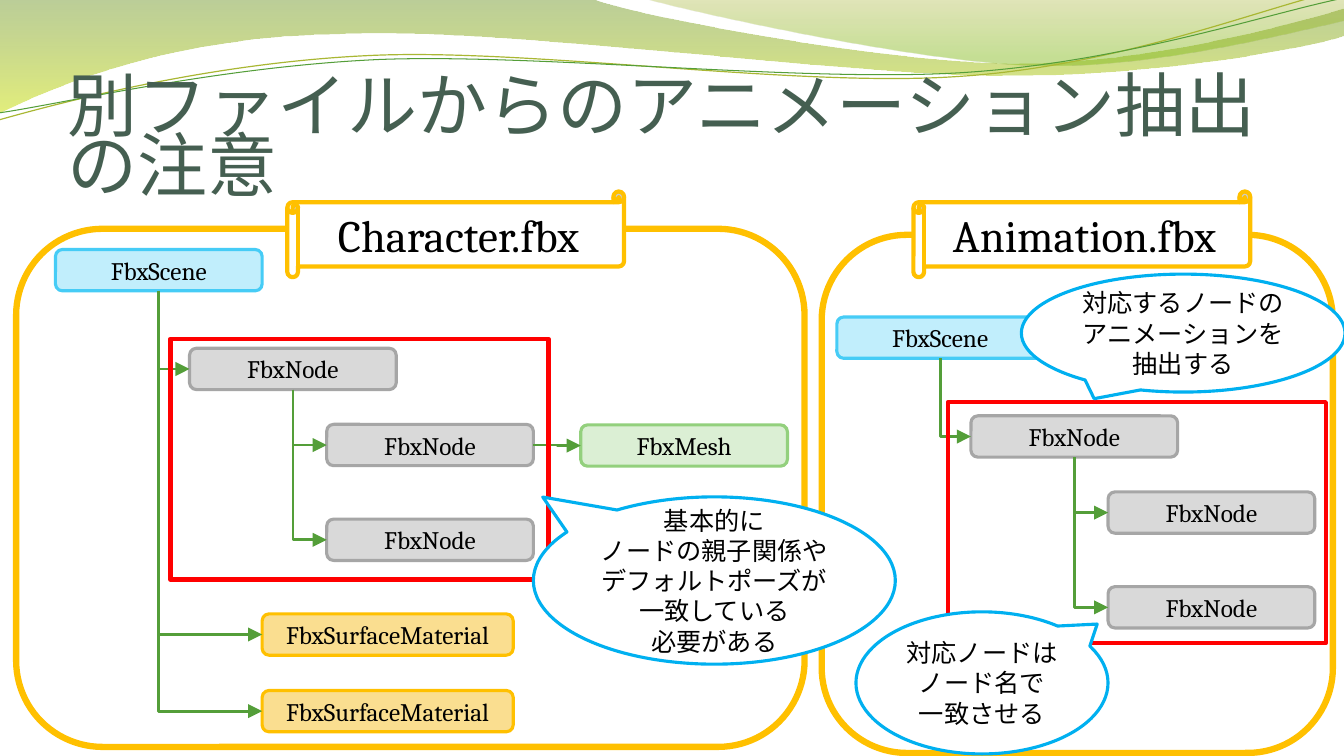
import math
from dataclasses import dataclass

from lxml import etree
from pptx import Presentation
from pptx import util as u
from pptx.dml.color import RGBColor
from pptx.enum import shapes, text
from pptx.oxml import parse_xml
from pptx.oxml.ns import nsdecls, qn

COLORS = {
    "title": "455F51", "ink": "000000", "white": "FFFFFF", "link": "549E39",
    "olive": "A9B733", "gold": "FFC000", "red": "FF0000", "sky": "00B0F0",
    "node": "D9D9D9", "node_edge": "A6A6A6", "scene": "C1EEFC", "scene_edge": "46CCF6",
    "mesh": "DBEFD4", "mesh_edge": "93D07D", "material": "FADE90",
}
LATIN, JAPANESE = "Cambria", "Noto Sans CJK JP"
KIND = shapes.MSO_SHAPE
NODE_WIDTH, NODE_HEIGHT = 2.05, 0.41
WAVE_CENTER = (6.65, 0.58)


@dataclass
class Box:
    kind: int
    left: float
    top: float
    width: float
    height: float
    edge: str
    weight: float
    fill: str = ""
    label: str = ""
    size: int = 18
    adjust: tuple[float, ...] = ()


@dataclass
class Wave:
    start: tuple[float, float]
    segments: list[tuple[float, ...]]
    stops: tuple[tuple[int, str, int], ...] = ()
    edge: str = ""
    weight: float = 0
    rotation: float = 0


WAVES = [
    Wave((0, 0), [(5.87, -0.01), (6.34, 0.17, 8.84, 0.63, 10.11, 0.63),
                  (11.37, 0.63, 12.77, 0.26, 13.33, 0.09), (13.34, 0.36),
                  (13.11, 0.44, 11.59, 0.76, 9.94, 0.75),
                  (8.29, 0.75, 5.09, 0.28, 3.43, 0.34),
                  (1.72, 0.36, 0.61, 0.83, -0.02, 1.13)],
         stops=((0, "69921C", 45), (100, "CCE10F", 55))),
    Wave((6.38, -0.01), [(6.79, 0.11, 9.09, 0.62, 10.25, 0.65),
                         (11.4, 0.69, 12.82, 0.32, 13.33, 0.21), (13.33, 0)],
         stops=((0, "9BAA1A", 30), (80, "81BA16", 45))),
    Wave((-0.01, 1.19), [(0.63, 1.01, 2.1, 0.62, 3.69, 0.55),
                         (5.27, 0.48, 7.89, 0.87, 9.49, 0.76),
                         (11.1, 0.66, 12.51, 0.08, 13.3, -0.1)],
         edge="olive", weight=0.85, rotation=357.3),
    Wave((-0.01, 1.12), [(0.62, 1.03, 2.18, 0.66, 3.77, 0.59),
                         (5.37, 0.53, 7.96, 0.82, 9.55, 0.72),
                         (11.14, 0.62, 12.55, 0.14, 13.33, -0.02)],
         edge="link", weight=0.75, rotation=357.3),
]
CALLOUTS = [
    Box(KIND.OVAL_CALLOUT, 5.29, 4.93, 3.59, 1.66, "sky", 2.25, "white",
        "基本的に\nノードの親子関係や\nデフォルトポーズが\n一致している\n必要がある", adjust=(-0.474, -0.499)),
    Box(KIND.OVAL_CALLOUT, 10.13, 2.72, 3.21, 1.17, "sky", 2.25, "white",
        "対応するノードの\nアニメーションを\n抽出する", adjust=(-0.275, 0.556)),
    Box(KIND.OVAL_CALLOUT, 8.49, 6.07, 2.5, 1.41, "sky", 2.25, "white",
        "対応ノードは\nノード名で\n一致させる", adjust=(0.457, -0.414)),
]


def rgb(name: str) -> RGBColor:
    return RGBColor.from_string(COLORS[name])


def style_text(frame, size: int, color: str, latin: str, align) -> None:
    for paragraph in frame.paragraphs:
        paragraph.alignment = align
        for run in paragraph.runs:
            run.font.size = u.Pt(size)
            run.font.color.rgb = rgb(color)
            run.font.name = latin
            etree.SubElement(run.font._element, qn("a:ea")).set("typeface", JAPANESE)


def draw_box(slide, box: Box):
    shape = slide.shapes.add_shape(
        box.kind, *map(u.Inches, (box.left, box.top, box.width, box.height)))
    shape.shadow.inherit = False
    for index, value in enumerate(box.adjust):
        shape.adjustments[index] = value
    if box.fill:
        shape.fill.solid()
        shape.fill.fore_color.rgb = rgb(box.fill)
    else:
        shape.fill.background()
    shape.line.color.rgb = rgb(box.edge)
    shape.line.width = u.Pt(box.weight)
    if box.label:
        shape.text_frame.text = box.label
        shape.text_frame.vertical_anchor = text.MSO_ANCHOR.MIDDLE
        style_text(shape.text_frame, box.size, "ink", LATIN, text.PP_ALIGN.CENTER)
    return shape


def draw_node(slide, label: str, left: float, top: float, fill: str = "node",
              edge: str = "node_edge", width: float = NODE_WIDTH):
    return draw_box(slide, Box(KIND.ROUNDED_RECTANGLE, left, top, width, NODE_HEIGHT,
                               edge, 2.25, fill, label))


def draw_link(slide, parent, child, sideways: bool = False) -> None:
    link = slide.shapes.add_connector(shapes.MSO_CONNECTOR.ELBOW, 0, 0, 0, 0)
    link.begin_connect(parent, 3 if sideways else 2)
    link.end_connect(child, 1)
    link.line.color.rgb = rgb("link")
    link.line.width = u.Pt(2)
    properties = link.element.spPr
    arrow = etree.SubElement(properties.find(qn("a:ln")), qn("a:tailEnd"))
    for key, value in (("type", "triangle"), ("w", "lg"), ("len", "lg")):
        arrow.set(key, value)
    etree.SubElement(properties, qn("a:effectLst"))
    if not sideways:
        across, down = link.width, link.height
        link.left += (across - down) // 2
        link.top += (down - across) // 2
        link.width, link.height = down, across
        properties.find(qn("a:prstGeom")).set("prst", "bentConnector2")
        frame = properties.find(qn("a:xfrm"))
        frame.set("rot", "16200000")
        frame.set("flipH", "1")


def draw_tree(slide, dx: float, dy: float):
    scene = draw_node(slide, "FbxScene", 0.55 + dx, 2.475 + dy, "scene", "scene_edge")
    root = draw_node(slide, "FbxNode", 1.88 + dx, 3.455 + dy)
    draw_link(slide, scene, root)
    children = [draw_node(slide, "FbxNode", 3.24 + dx, top + dy) for top in (4.21, 5.15)]
    for child in children:
        draw_link(slide, root, child)
    return scene, children


def draw_file(slide, name: str, left: float, top: float, width: float,
              scroll_left: float, hierarchy_left: float, hierarchy_top: float) -> None:
    for box in (
        Box(KIND.ROUNDED_RECTANGLE, left, top, width, 5.14, "gold", 4.5),
        Box(KIND.HORIZONTAL_SCROLL, scroll_left, 1.9, 3.34, 0.85, "gold", 3, "white", name, 32),
        Box(KIND.RECTANGLE, hierarchy_left, hierarchy_top, 3.75, 2.39, "red", 3),
    ):
        draw_box(slide, box)


def unturn(x: float, y: float, rotation: float) -> tuple[int, int]:
    angle = math.radians(-rotation)
    dx, dy = x - WAVE_CENTER[0], y - WAVE_CENTER[1]
    return (u.Inches(WAVE_CENTER[0] + dx * math.cos(angle) - dy * math.sin(angle)),
            u.Inches(WAVE_CENTER[1] + dx * math.sin(angle) + dy * math.cos(angle)))


def draw_wave(group, wave: Wave) -> None:
    builder = group.shapes.build_freeform(*unturn(*wave.start, wave.rotation))
    builder.add_line_segments(
        [unturn(*segment[i:i + 2], wave.rotation)
         for segment in wave.segments for i in range(0, len(segment), 2)],
        close=bool(wave.stops))
    shape = builder.convert_to_shape()
    steps = iter(list(shape.element.iter(qn("a:lnTo"))))
    for segment in wave.segments:
        first = next(steps)
        if len(segment) == 6:
            first.tag = qn("a:cubicBezTo")
            for control in (next(steps), next(steps)):
                first.append(control[0])
                control.getparent().remove(control)
    shape.rotation = wave.rotation
    shape.shadow.inherit = False
    shape.fill.background()
    if wave.stops:
        shape.line.fill.background()
        stops = "".join(
            f'<a:gs pos="{pos * 1000}"><a:srgbClr val="{color}">'
            f'<a:alpha val="{alpha * 1000}"/></a:srgbClr></a:gs>'
            for pos, color, alpha in wave.stops)
        gradient = parse_xml(f'<a:gradFill {nsdecls("a")}><a:gsLst>{stops}</a:gsLst>'
                             '<a:lin ang="5400000" scaled="0"/></a:gradFill>')
        properties = shape.element.spPr
        properties.replace(properties.find(qn("a:noFill")), gradient)
    else:
        shape.line.color.rgb = rgb(wave.edge)
        shape.line.width = u.Pt(wave.weight)


def draw_title(title) -> None:
    title.left, title.top, title.width, title.height = map(u.Inches, (0.67, 0.77, 12, 1.25))
    frame = title.text_frame
    frame.text = "別ファイルからのアニメーション抽出の注意"
    frame.margin_left = frame.margin_right = frame.margin_bottom = 0
    frame.vertical_anchor = text.MSO_ANCHOR.BOTTOM
    frame.auto_size = text.MSO_AUTO_SIZE.NONE
    frame.paragraphs[0].line_spacing = 0.72
    style_text(frame, 50, "title", JAPANESE, text.PP_ALIGN.LEFT)


def main() -> None:
    deck = Presentation()
    deck.slide_width, deck.slide_height = u.Inches(13.33), u.Inches(7.5)
    slide = deck.slides.add_slide(deck.slide_layouts[5])
    title = slide.shapes.title
    draw_title(title)
    backdrop = slide.shapes.add_group_shape()
    for wave in WAVES:
        draw_wave(backdrop, wave)
    title.element.addprevious(backdrop.element)

    scene, children = draw_tree(slide, 0, 0)
    mesh = draw_node(slide, "FbxMesh", 5.76, 4.215, "mesh", "mesh_edge")
    draw_link(slide, children[0], mesh, sideways=True)
    for top in (6.09, 6.85):
        material = draw_node(slide, "FbxSurfaceMaterial", 2.6, top, "material", "gold", 2.49)
        draw_link(slide, scene, material)
    draw_file(slide, "Character.fbx", 0.16, 2.27, 7.82, 2.85, 1.69, 3.36)

    draw_tree(slide, 7.75, 0.67)
    draw_file(slide, "Animation.fbx", 8.15, 2.33, 5.07, 9.06, 9.4, 3.99)
    for callout in CALLOUTS:
        draw_box(slide, callout)
    deck.save("out.pptx")


if __name__ == "__main__":
    main()
